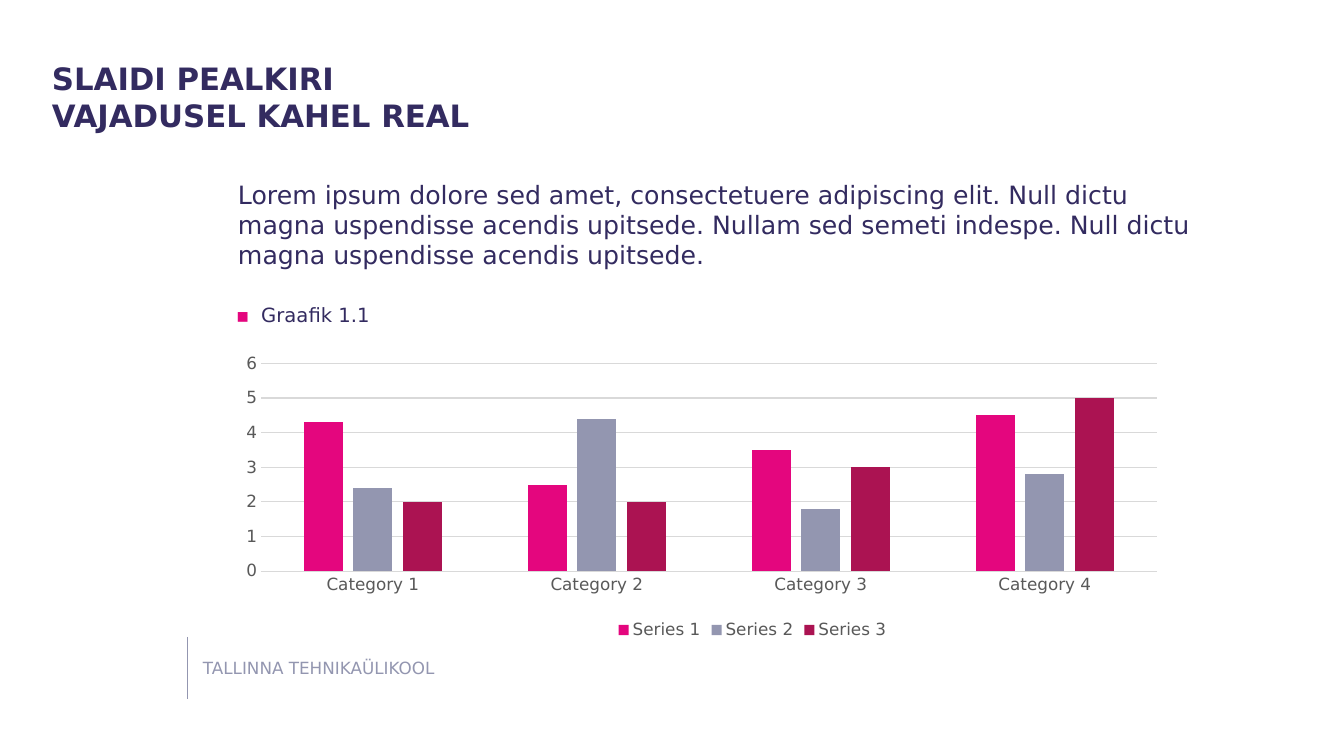
"""Build a title slide section with a lead text, a bullet and a column chart."""
from lxml import etree
from pptx import Presentation
from pptx.chart.data import CategoryChartData
from pptx.dml.color import RGBColor
from pptx.enum.chart import XL_CHART_TYPE, XL_LEGEND_POSITION, XL_TICK_MARK
from pptx.enum.shapes import MSO_CONNECTOR
from pptx.enum.text import MSO_ANCHOR, MSO_AUTO_SIZE, PP_ALIGN
from pptx.oxml import parse_xml
from pptx.oxml.ns import nsdecls, qn
from pptx.util import Emu, Pt

COLUMNS = XL_CHART_TYPE.COLUMN_CLUSTERED
LEGEND_BOTTOM = XL_LEGEND_POSITION.BOTTOM
NO_TICK = XL_TICK_MARK.NONE
STRAIGHT = MSO_CONNECTOR.STRAIGHT
TOP = MSO_ANCHOR.TOP
NO_AUTOFIT = MSO_AUTO_SIZE.NONE
LEFT = PP_ALIGN.LEFT

PX = 914400 / 100.8
FONT = "DejaVu Sans"
NAVY, GREY_BLUE, PINK, CRIMSON = "332B60", "9396B0", "E4067E", "AB1352"
AXIS_TEXT, GRID = "595959", "D9D9D9"


def color(value):
    return RGBColor.from_string(value)


def write(box, frame, text, size, ink, bold=False):
    box.left, box.top, box.width, box.height = [Emu(round(v * PX)) for v in frame]
    body = box.text_frame
    body.text = text
    body.word_wrap = True
    body.auto_size = NO_AUTOFIT
    body.vertical_anchor = TOP
    body.margin_left = body.margin_top = body.margin_right = body.margin_bottom = 0
    paragraph = body.paragraphs[0]
    paragraph.alignment = LEFT
    paragraph.space_before = Pt(0)
    for run in paragraph.runs:
        run.font.name = FONT
        run.font.size = Pt(size)
        run.font.bold = bold
        run.font.color.rgb = color(ink)
    return paragraph


deck = Presentation()
deck.slide_width, deck.slide_height = Emu(round(1344 * PX)), Emu(round(756 * PX))
slide = deck.slides.add_slide(deck.slide_layouts[3])
title, lead, chart_label = list(slide.placeholders)[:3]

university = slide.shapes.add_textbox(0, 0, 0, 0)
write(university, (203, 658, 304, 20), "TALLINNA TEHNIKAÜLIKOOL", 12, GREY_BLUE)

divider = slide.shapes.add_connector(
    STRAIGHT, *[Emu(round(v * PX)) for v in (187, 637, 187, 699)])
divider.line.color.rgb = color(GREY_BLUE)
divider.line.width = Pt(0.5)
etree.SubElement(divider._element.spPr, qn("a:effectLst"))

write(title, (52, 60, 1157, 89), "SLAIDI PEALKIRI\vVAJADUSEL KAHEL REAL", 22, NAVY, True)

lead_line = write(
    lead, (238, 179, 971, 88),
    "Lorem ipsum dolore sed amet, consectetuere adipiscing elit. Null dictu magna "
    "uspendisse acendis upitsede. Nullam sed semeti indespe. Null dictu magna "
    "uspendisse acendis upitsede.", 18, NAVY)
lead_format = lead_line._p.get_or_add_pPr()
lead_format.set("marL", "0")
lead_format.set("indent", "0")
etree.SubElement(lead_format, qn("a:buNone"))

label_line = write(chart_label, (236, 306, 973, 34), "Graafik 1.1", 14, NAVY)
label_line.line_spacing = 0.9
label_format = label_line._p.get_or_add_pPr()
label_format.set("marL", "228600")
label_format.set("indent", "-228600")
bullet_color = etree.SubElement(label_format, qn("a:buClr"))
etree.SubElement(bullet_color, qn("a:srgbClr"), val=PINK)
etree.SubElement(label_format, qn("a:buFont"), typeface=FONT)
etree.SubElement(label_format, qn("a:buChar"), char="▪")

results = CategoryChartData()
results.categories = [f"Category {n}" for n in range(1, 5)]
results.add_series("Series 1", (4.3, 2.5, 3.5, 4.5))
results.add_series("Series 2", (2.4, 4.4, 1.8, 2.8))
results.add_series("Series 3", (2, 2, 3, 5))
chart = slide.shapes.add_chart(
    COLUMNS, *[Emu(round(v * PX)) for v in (234, 349, 1037, 295)], results).chart
chart.has_title = False
chart.font.name = FONT
chart.font.size = Pt(12)
chart.font.color.rgb = color(AXIS_TEXT)
chart.has_legend = True
chart.legend.position = LEGEND_BOTTOM
chart.legend.include_in_layout = False

plot = chart.plots[0]
plot.gap_width, plot.overlap = 219, -27
plot.vary_by_categories = False
for series, fill in zip(plot.series, (PINK, GREY_BLUE, CRIMSON)):
    series.format.fill.solid()
    series.format.fill.fore_color.rgb = color(fill)

categories, values = chart.category_axis, chart.value_axis
for axis in (categories, values):
    axis.major_tick_mark = axis.minor_tick_mark = NO_TICK
values.minimum_scale, values.maximum_scale, values.major_unit = 0, 6, 1
values.format.line.fill.background()
for rule in (categories.format.line, values.major_gridlines.format.line):
    rule.color.rgb = color(GRID)
    rule.width = Pt(0.75)

plot_area = chart._chartSpace.chart.plotArea
for automatic in plot_area.findall(qn("c:layout")):
    plot_area.remove(automatic)
plot_area.insert(0, parse_xml(
    f'<c:layout {nsdecls("c")}><c:manualLayout><c:layoutTarget val="inner"/>'
    '<c:xMode val="edge"/><c:yMode val="edge"/><c:x val="0.026"/><c:y val="0.049"/>'
    '<c:w val="0.864"/><c:h val="0.704"/></c:manualLayout></c:layout>'))

deck.save("out.pptx")
